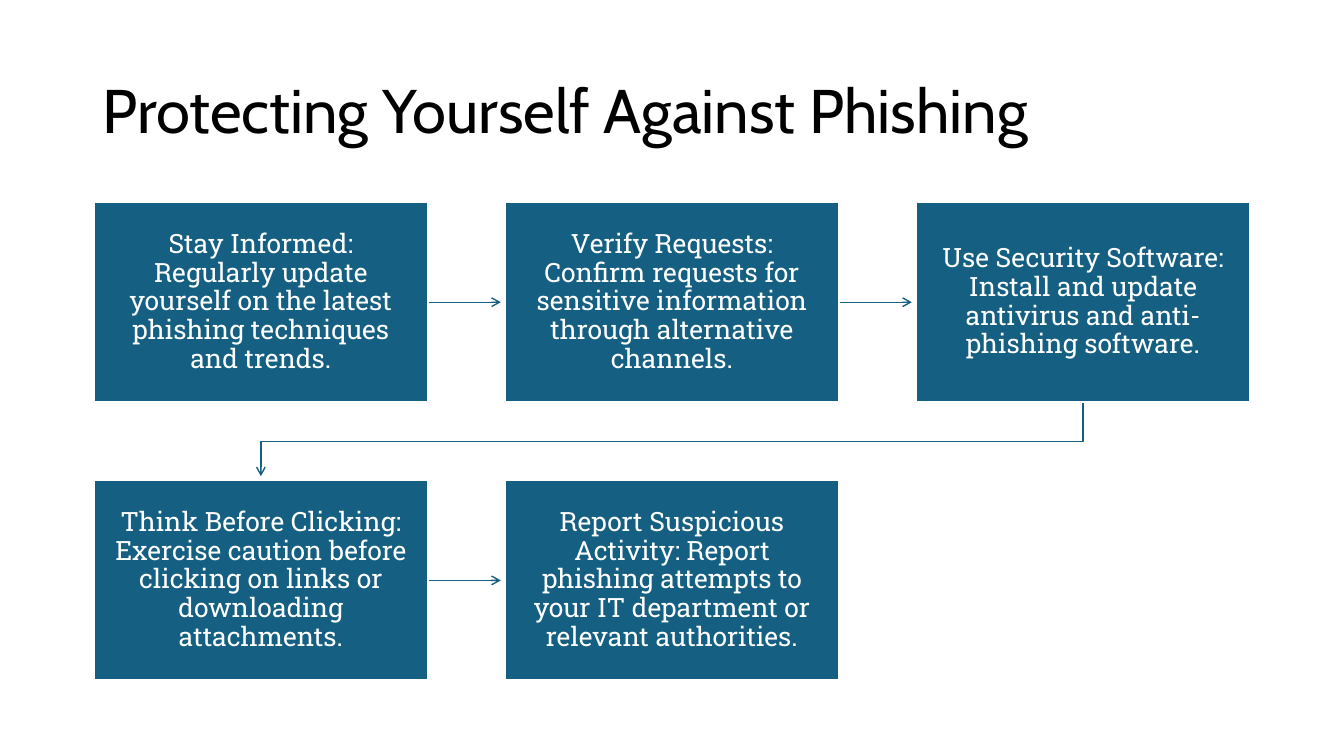
from lxml import etree
from pptx import Presentation
from pptx.dml.color import RGBColor
from pptx.enum import shapes, text
from pptx.oxml import ns
from pptx.util import Cm, Pt

BLUE = RGBColor(0x15, 0x60, 0x82)
WHITE = RGBColor(0xFF, 0xFF, 0xFF)
BLACK = RGBColor(0, 0, 0)

COLUMNS = 3
BOX_W, BOX_H = 8.43, 5.05
STEP_X, STEP_Y = 10.36, 7.01
ARROW_GAP = 0.1

TIPS = [
    "Stay Informed: Regularly update yourself on the latest phishing techniques and trends.",
    "Verify Requests: Confirm requests for sensitive information through alternative channels.",
    "Use Security Software: Install and update antivirus and anti-phishing software.",
    "Think Before Clicking: Exercise caution before clicking on links or downloading attachments.",
    "Report Suspicious Activity: Report phishing attempts to your IT department or relevant authorities.",
]


def format_text(tf, font, size, color, align):
    """Apply one look to all the text of a frame."""
    tf.word_wrap = True
    tf.vertical_anchor = text.MSO_ANCHOR.MIDDLE
    for p in tf.paragraphs:
        p.alignment = align
        p.line_spacing = 0.9
        for r in p.runs:
            r.font.name = font
            r.font.size = Pt(size)
            r.font.color.rgb = color


def add_title(slide, x, y, w, h):
    """Place the slide title in the given box."""
    sp = slide.shapes.title
    sp.left, sp.top, sp.width, sp.height = Cm(x), Cm(y), Cm(w), Cm(h)
    sp.text_frame.text = "Protecting Yourself Against Phishing"
    format_text(sp.text_frame, "Cabin", 44, BLACK, text.PP_ALIGN.LEFT)


def style_arrow(sp):
    """Give a line its colour, width and open arrowhead."""
    sp.line.color.rgb = BLUE
    sp.line.width = Pt(1)
    ln = sp.line._get_or_add_ln()
    etree.SubElement(ln, ns.qn("a:tailEnd"), type="arrow")


def add_row_arrow(slide, x, y):
    """Draw an arrow from the box at x, y to its right neighbour."""
    middle = Cm(y + BOX_H / 2)
    cxn = slide.shapes.add_connector(
        shapes.MSO_CONNECTOR.STRAIGHT,
        Cm(x + BOX_W), middle, Cm(x + STEP_X - ARROW_GAP), middle)
    style_arrow(cxn)
    etree.SubElement(cxn._element.spPr, ns.qn("a:effectLst"))


def add_wrap_arrow(slide, x, y, first_x):
    """Draw an arrow from below the box at x, y to the start of the next row."""
    start, end = x + BOX_W / 2, first_x + BOX_W / 2
    bottom = y + BOX_H
    turn = bottom + (STEP_Y - BOX_H) / 2
    fb = slide.shapes.build_freeform(Cm(start), Cm(bottom))
    fb.add_line_segments(
        [(Cm(start), Cm(turn)), (Cm(end), Cm(turn)),
         (Cm(end), Cm(y + STEP_Y - ARROW_GAP))], close=False)
    sp = fb.convert_to_shape()
    sp.fill.background()
    sp.shadow.inherit = False
    style_arrow(sp)


def add_tip(slide, x, y, tip):
    """Draw one tip box with its top left corner at x, y."""
    sp = slide.shapes.add_shape(
        shapes.MSO_SHAPE.RECTANGLE, Cm(x), Cm(y), Cm(BOX_W), Cm(BOX_H))
    sp.shadow.inherit = False
    sp.fill.solid()
    sp.fill.fore_color.rgb = BLUE
    sp.line.color.rgb = WHITE
    sp.line.width = Pt(1.5)
    tf = sp.text_frame
    tf.margin_left = tf.margin_right = Cm(0.41)
    tf.margin_top = tf.margin_bottom = Cm(0.43)
    tf.text = tip
    format_text(tf, "Roboto Slab", 19, WHITE, text.PP_ALIGN.CENTER)


def add_tip_flow(slide, left, top):
    """Lay the tips out in rows, joined by arrows in reading order."""
    for i, tip in enumerate(TIPS):
        row, column = divmod(i, COLUMNS)
        x, y = left + column * STEP_X, top + row * STEP_Y
        if i < len(TIPS) - 1:
            if column < COLUMNS - 1:
                add_row_arrow(slide, x, y)
            else:
                add_wrap_arrow(slide, x, y, left)
        add_tip(slide, x, y, tip)


def main():
    """Build the slide and save it."""
    prs = Presentation()
    prs.slide_width, prs.slide_height = Cm(33.87), Cm(19.05)
    slide = prs.slides.add_slide(prs.slide_layouts[5])
    add_title(slide, 2.33, 1.01, 29.21, 3.68)
    add_tip_flow(slide, 2.36, 5.09)
    prs.save("out.pptx")


if __name__ == "__main__":
    main()
